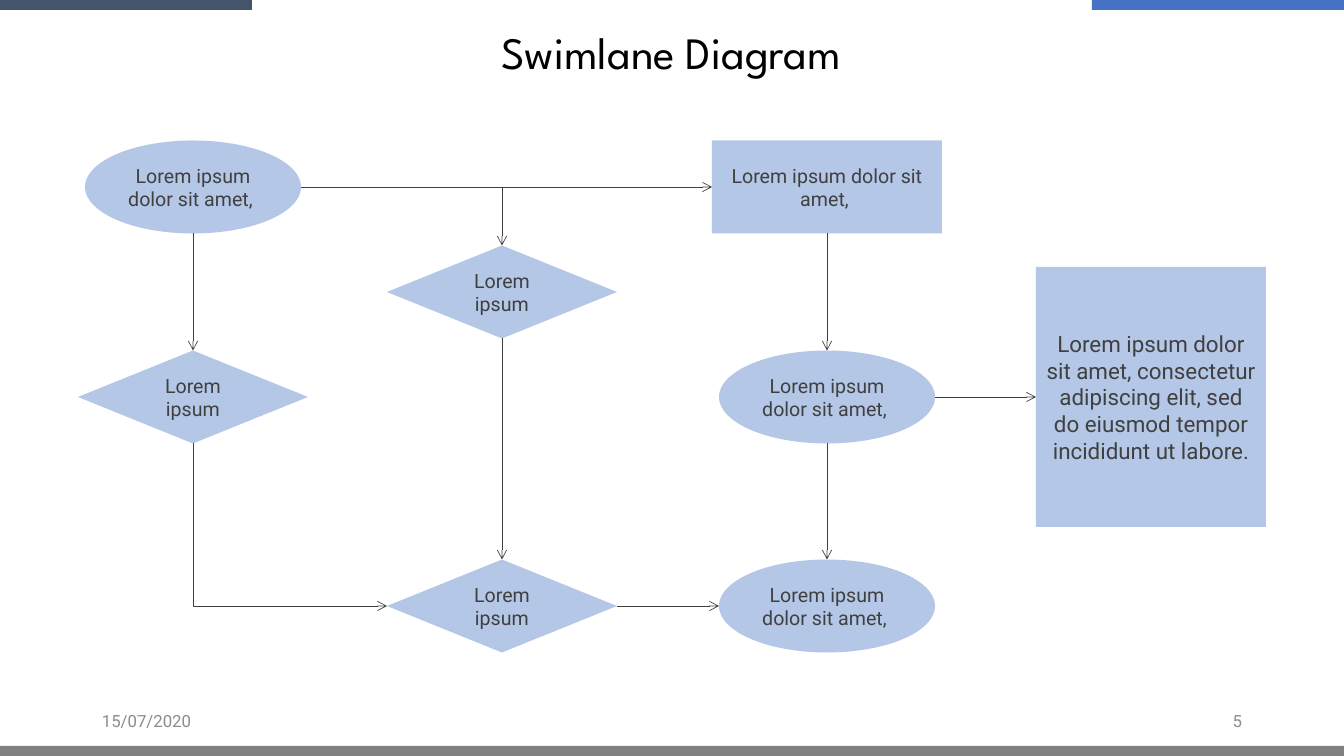
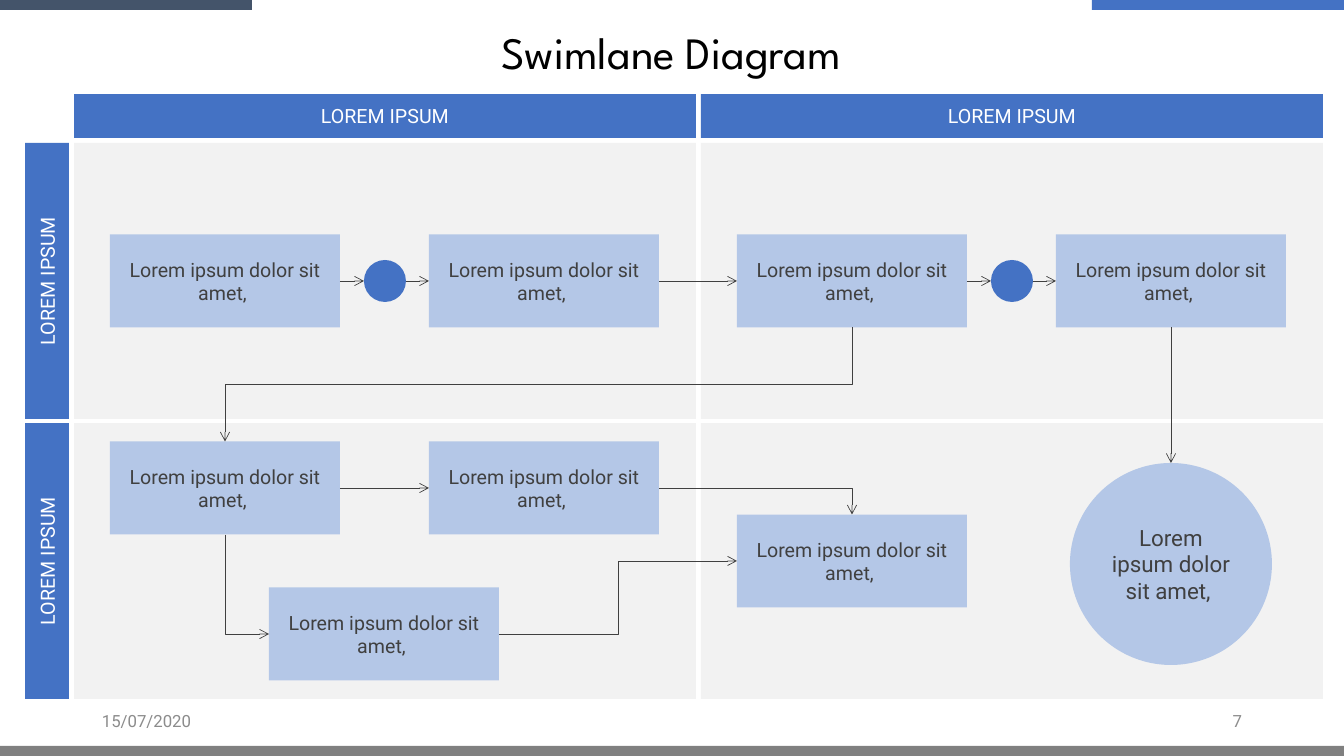
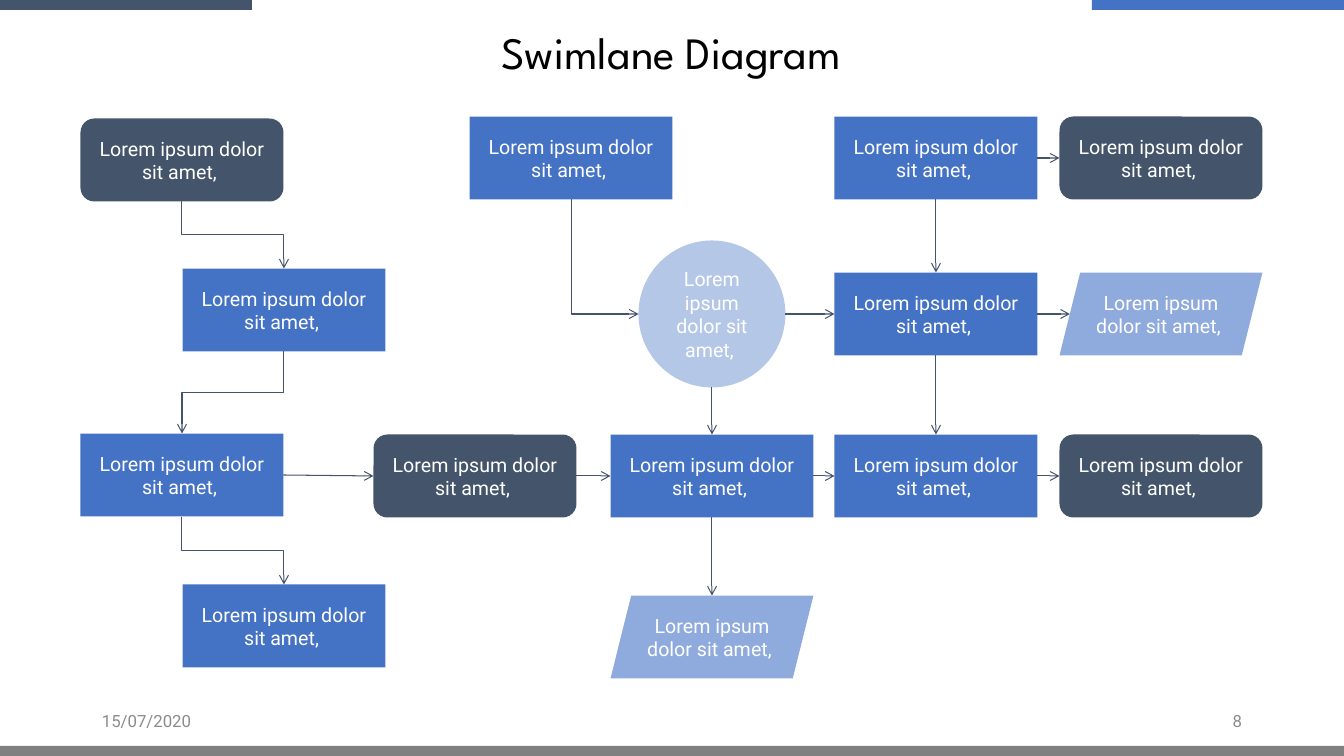
from dataclasses import dataclass
from lxml.etree import SubElement
from pptx import Presentation
from pptx.dml.color import RGBColor
from pptx.enum.shapes import MSO_CONNECTOR as WIRE, MSO_SHAPE as FORM
from pptx.enum.text import MSO_ANCHOR as ANCHOR, MSO_AUTO_SIZE as FIT, PP_ALIGN as ALIGN
from pptx.oxml.ns import qn
from pptx.util import Emu, Pt


@dataclass(frozen=True)
class Theme:
    blue: str = "4472C4"
    slate: str = "44546A"
    grey: str = "808080"
    pale: str = "B4C7E7"
    mid: str = "8FAADC"
    lane: str = "F2F2F2"
    ink: str = "404040"
    faint: str = "8C8C8C"
    white: str = "FFFFFF"
    black: str = "000000"
    head: str = "League Spartan"
    body: str = "Roboto"
    title: int = 32
    large: int = 16
    text: int = 14
    small: int = 12


T = Theme()
SCALE = 914400 / 100.8
WIDE, HIGH = 1344, 756
SIDES = "tlbr"

TITLE = "Swimlane Diagram"
DATE = "15/07/2020"
SHORT = "Lorem ipsum"
LOREM = "Lorem ipsum dolor sit amet, "
LONG = ("Lorem ipsum dolor sit amet, consectetur adipiscing elit, "
        "sed do eiusmod tempor incididunt ut labore.")
LABEL = "LOREM IPSUM"

BANDS = [
    (1092, 0, 252, 10, T.blue),
    (0, 0, 252, 10, T.slate),
    (0, 746, WIDE, 10, T.grey),
]

STYLES = {
    "choice": (FORM.FLOWCHART_DECISION, 230, 93, T.pale, T.ink, T.text, SHORT),
    "oval": (FORM.OVAL, 216, 93, T.pale, T.ink, T.text, LOREM),
    "box": (FORM.RECTANGLE, 230, 93, T.pale, T.ink, T.text, LOREM),
    "note": (FORM.RECTANGLE, 230, 260, T.pale, T.ink, T.large, LONG),
    "dot": (FORM.OVAL, 42, 42, T.blue, T.white, T.text, ""),
    "disc": (FORM.OVAL, 202, 202, T.pale, T.ink, T.large, LOREM),
    "step": (FORM.RECTANGLE, 203, 83, T.blue, T.white, T.text, LOREM),
    "stop": (FORM.ROUNDED_RECTANGLE, 203, 83, T.slate, T.white, T.text, LOREM),
    "data": (FORM.PARALLELOGRAM, 203, 83, T.mid, T.white, T.text, LOREM),
    "hub": (FORM.OVAL, 147, 147, T.pale, T.white, T.text, LOREM),
}

SLIDES = [
    {
        "page": "5",
        "line": (T.ink, 0.5),
        "nodes": [
            ("start", "oval", 193, 187),
            ("check", "choice", 193, 397),
            ("fork", "choice", 502, 292),
            ("merge", "choice", 502, 606),
            ("task", "box", 827, 187),
            ("review", "oval", 827, 397),
            ("end", "oval", 827, 606),
            ("note", "note", 1151, 397),
        ],
        "links": [
            ("start", "r", "task", "l"),
            ("start", "b", "check", "t"),
            ("check", "b", "merge", "l"),
            ("fork", "b", "merge", "t"),
            ("merge", "r", "end", "l"),
            ("task", "b", "review", "t"),
            ("review", "b", "end", "t"),
            ("review", "r", "note", "l"),
        ],
        "taps": [(502, 187, "fork")],
    },
    {
        "page": "7",
        "line": (T.ink, 0.5),
        "lanes": {"cols": (74, 701), "rows": (143, 423), "size": (622, 276),
                  "bar": 44, "left": 25, "top": 94},
        "nodes": [
            ("one", "box", 225, 281),
            ("dot", "dot", 385, 281),
            ("two", "box", 544, 281),
            ("three", "box", 852, 281),
            ("spot", "dot", 1012, 281),
            ("four", "box", 1171, 281),
            ("five", "box", 225, 488),
            ("six", "box", 544, 488),
            ("seven", "box", 384, 634),
            ("eight", "box", 852, 561),
            ("end", "disc", 1171, 564),
        ],
        "links": [
            ("one", "r", "dot", "l"),
            ("dot", "r", "two", "l"),
            ("two", "r", "three", "l"),
            ("three", "r", "spot", "l"),
            ("spot", "r", "four", "l"),
            ("three", "b", "five", "t"),
            ("five", "r", "six", "l"),
            ("five", "b", "seven", "l"),
            ("six", "r", "eight", "t"),
            ("seven", "r", "eight", "l"),
            ("four", "b", "end", "t"),
        ],
    },
    {
        "page": "8",
        "line": (T.slate, 0.75),
        "nodes": [
            ("start", "stop", 182, 160),
            ("plan", "step", 284, 310),
            ("draft", "step", 182, 475),
            ("file", "step", 284, 626),
            ("gate", "stop", 475, 476),
            ("input", "step", 571, 158),
            ("hub", "hub", 712, 314),
            ("build", "step", 712, 476),
            ("log", "data", 712, 637),
            ("brief", "step", 936, 158),
            ("test", "step", 936, 314),
            ("ship", "step", 936, 476),
            ("halt", "stop", 1161, 158),
            ("report", "data", 1161, 314),
            ("end", "stop", 1161, 476),
        ],
        "links": [
            ("start", "b", "plan", "t"),
            ("plan", "b", "draft", "t"),
            ("draft", "b", "file", "t"),
            ("draft", "r", "gate", "l"),
            ("gate", "r", "build", "l"),
            ("input", "b", "hub", "l"),
            ("hub", "r", "test", "l"),
            ("hub", "b", "build", "t"),
            ("build", "b", "log", "t"),
            ("build", "r", "ship", "l"),
            ("ship", "r", "end", "l"),
            ("brief", "r", "halt", "l"),
            ("brief", "b", "test", "t"),
            ("test", "r", "report", "l"),
            ("test", "b", "ship", "t"),
        ],
    },
]


def px(num):
    return Emu(round(num * SCALE))


def write(shape, text, size=T.text, ink=T.ink, font=T.body, align=ALIGN.CENTER,
          anchor=ANCHOR.MIDDLE, pad=None, space=None, fit=None, turn=None):
    frame = shape.text_frame
    frame.word_wrap = True
    frame.vertical_anchor = anchor
    if fit is not None:
        frame.auto_size = fit
    if pad is not None:
        frame.margin_left = frame.margin_right = px(pad)
        frame.margin_top = frame.margin_bottom = px(pad)
    if turn:
        frame._txBody.bodyPr.set("vert", turn)
    para = frame.paragraphs[0]
    para.alignment = align
    if space:
        para.line_spacing = space
    run = para.add_run()
    run.text = text
    run.font.size = Pt(size)
    run.font.name = font
    run.font.color.rgb = RGBColor.from_string(ink)


def block(slide, left, top, width, height, fill, form=FORM.RECTANGLE):
    shape = slide.shapes.add_shape(form, px(left), px(top), px(width), px(height))
    shape.shadow.inherit = False
    shape.fill.solid()
    shape.fill.fore_color.rgb = RGBColor.from_string(fill)
    shape.line.fill.background()
    return shape


def node(slide, style, mid_x, mid_y):
    form, width, height, fill, ink, size, text = STYLES[style]
    shape = block(slide, mid_x - width / 2, mid_y - height / 2, width, height, fill, form)
    if text:
        write(shape, text, size=size, ink=ink)
    return shape


def lanes(slide, cols, rows, size, bar, left, top):
    width, height = size
    for col in cols:
        write(block(slide, col, top, width, bar, T.blue), LABEL, ink=T.white)
        for row in rows:
            block(slide, col, row, width, height, T.lane)
    for row in rows:
        write(block(slide, left, row, bar, height, T.blue), LABEL, ink=T.white,
              turn="vert270")


def spot(shape, side):
    slant = 0
    if shape.auto_shape_type == FORM.PARALLELOGRAM:
        slant = shape.height // 8
    mid_x, mid_y = shape.left + shape.width // 2, shape.top + shape.height // 2
    return {
        "t": (mid_x, shape.top),
        "l": (shape.left + slant, mid_y),
        "b": (mid_x, shape.top + shape.height),
        "r": (shape.left + shape.width - slant, mid_y),
    }[side]


def arrow(slide, kind, start, end, ink, weight):
    line = slide.shapes.add_connector(kind, *start, *end)
    line.line.color.rgb = RGBColor.from_string(ink)
    line.line.width = Pt(weight)
    props = line.element.spPr
    SubElement(props.find(qn("a:ln")), qn("a:tailEnd"), type="arrow")
    SubElement(props, qn("a:effectLst"))
    return line


def glue(line, join, tag, shape, side):
    if shape.auto_shape_type == FORM.PARALLELOGRAM:
        return
    site = SIDES.index(side)
    join(shape, site)
    if shape.auto_shape_type == FORM.OVAL:
        line.element.find(".//" + qn(tag)).set("idx", str(site * 2))


def bend(line, start, end, out, into):
    props = line.element.spPr
    if (out, into) in (("b", "l"), ("r", "t")):
        props.find(qn("a:prstGeom")).set("prst", "bentConnector2")
    if out == "b":
        (x1, y1), (x2, y2) = start, end
        line.width, line.height = Emu(abs(y2 - y1)), Emu(abs(x2 - x1))
        line.left = Emu((x1 + x2 - line.width) // 2)
        line.top = Emu((y1 + y2 - line.height) // 2)
        frame = props.find(qn("a:xfrm"))
        right = x2 > x1
        frame.set("rot", str((270 if right else 90) * 60000))
        frame.set("flipH", "1" if right else "0")


def link(slide, tail, out, head, into, ink, weight):
    start, end = spot(tail, out), spot(head, into)
    drift = abs(start[0] - end[0]) if out == "b" else abs(start[1] - end[1])
    plain = out + into in ("bt", "rl") and drift < px(3)
    kind = WIRE.STRAIGHT if plain else WIRE.ELBOW
    line = arrow(slide, kind, start, end, ink, weight)
    glue(line, line.begin_connect, "a:stCxn", tail, out)
    glue(line, line.end_connect, "a:endCxn", head, into)
    if not plain:
        bend(line, start, end, out, into)


def label(slide, left, text, align):
    box = slide.shapes.add_textbox(px(left), px(701), px(302), px(40))
    write(box, text, size=T.small, ink=T.faint, align=align)


def build(deck, layout, page, line, nodes, links, taps=(), **extra):
    slide = deck.slides.add_slide(layout)
    write(slide.shapes.title, TITLE, size=T.title, ink=T.black, font=T.head,
          anchor=ANCHOR.TOP, pad=4, space=0.9, fit=FIT.SHAPE_TO_FIT_TEXT)
    label(slide, 92, DATE, ALIGN.LEFT)
    label(slide, 950, page, ALIGN.RIGHT)
    if "lanes" in extra:
        lanes(slide, **extra["lanes"])
    shapes = {name: node(slide, *rest) for name, *rest in nodes}
    for tail, out, head, into in links:
        link(slide, shapes[tail], out, shapes[head], into, *line)
    for left, top, head in taps:
        tap = arrow(slide, WIRE.STRAIGHT, (px(left), px(top)),
                    spot(shapes[head], "t"), *line)
        glue(tap, tap.end_connect, "a:endCxn", shapes[head], "t")
    return slide


def main():
    deck = Presentation()
    deck.slide_width, deck.slide_height = px(WIDE), px(HIGH)
    layout = deck.slide_layouts[5]
    title = layout.placeholders[0]
    title.left, title.top, title.width, title.height = px(92), px(27), px(1159), px(56)
    slides = [build(deck, layout, **data) for data in SLIDES]
    for band in BANDS:
        layout.shapes.element.append(block(slides[0], *band).element)
    deck.save("out.pptx")


if __name__ == "__main__":
    main()
